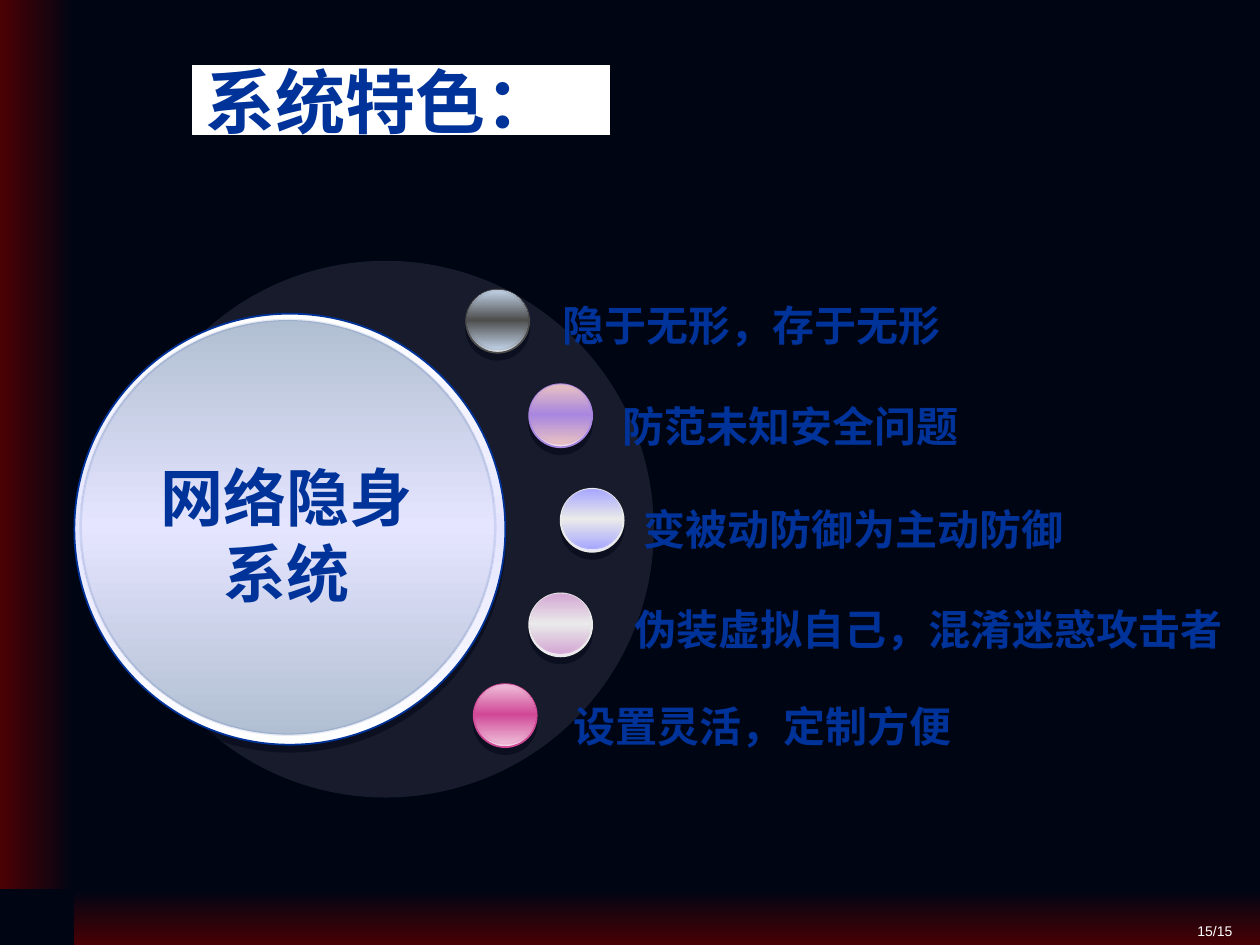
from lxml import etree
from pptx import Presentation
from pptx.dml.color import RGBColor
from pptx.enum.shapes import MSO_SHAPE
from pptx.enum.text import MSO_ANCHOR, PP_ALIGN
from pptx.oxml.ns import qn
from pptx.util import Inches, Pt

OVAL, RECTANGLE = MSO_SHAPE.OVAL, MSO_SHAPE.RECTANGLE
LEFT, CENTER, RIGHT = PP_ALIGN.LEFT, PP_ALIGN.CENTER, PP_ALIGN.RIGHT
MIDDLE, TOP = MSO_ANCHOR.MIDDLE, MSO_ANCHOR.TOP
CJK_FONT = "Noto Sans CJK SC"
NIGHT, RED, BLUE, WHITE, LAVENDER = "000514", "5A0000", "003399", "FFFFFF", "E5E5FF"

# Content
TITLE = "系统特色："
CENTER_TEXT = "网络隐身系统"
PAGE = "15/15"
# Feature text, text box (left, top, width), ball (left, top), rim, edge and middle colours
FEATURES = [
    ("隐于无形，存于无形", (4.37, 2.33, 3.53), (3.7, 2.3), "EDF2F8", "C2D3E8", "4D4D4D"),
    ("防范未知安全问题", (4.84, 3.13, 3.53), (4.2, 3.05), "F9EDED", "E9C2C1", "A886E0"),
    ("变被动防御为主动防御", (5.01, 3.95, 4.19), (4.45, 3.88), LAVENDER, "A6A6FF", "EAEAEA"),
    ("伪装虚拟自己，混淆迷惑攻击者", (4.94, 4.74, 5.26), (4.2, 4.71), "F2E5F2", "D3A6D3", "EAEAEA"),
    ("设置灵活，定制方便", (4.45, 5.51, 3.53), (3.76, 5.43), "FAECF4", "EFBFDA", "D04896"),
]
# Red edge bars: box and gradient direction
BARS = [((0.59, 7.06, 9.47, 0.55), 90), ((-0.11, 0, 0.7, 7.06), 180)]


def color(value):
    return RGBColor.from_string(value)


def set_alpha(color_parent, percent):
    rgb = color_parent.find(".//" + qn("a:srgbClr"))
    etree.SubElement(rgb, qn("a:alpha")).set("val", str(percent * 1000))


def add_shadow(parent, value, percent, distance, angle):
    effects = parent.find(qn("a:effectLst"))
    if effects is None:
        effects = etree.SubElement(parent, qn("a:effectLst"))
    shadow = etree.SubElement(effects, qn("a:outerShdw"), dist=str(Pt(distance)),
                              dir=str(angle * 60000), algn="ctr", rotWithShape="0")
    etree.SubElement(shadow, qn("a:srgbClr")).set("val", value)
    set_alpha(shadow, percent)


def add_shape(slide, kind, box):
    shape = slide.shapes.add_shape(kind, *map(Inches, box))
    shape.shadow.inherit = False
    shape.line.fill.background()
    return shape


def fill_gradient(shape, colors, angle):
    shape.fill.gradient()
    shape.fill.gradient_angle = (360 - angle) % 360
    stops = shape.element.spPr.find(qn("a:gradFill")).find(qn("a:gsLst"))
    for stop in list(stops):
        stops.remove(stop)
    for index, value in enumerate(colors):
        position = 100000 * index // (len(colors) - 1)
        stop = etree.SubElement(stops, qn("a:gs"), pos=str(position))
        etree.SubElement(stop, qn("a:srgbClr")).set("val", value)


def add_disc(slide, left, top, size, edge, middle, line, width):
    disc = add_shape(slide, OVAL, (left, top, size, size))
    fill_gradient(disc, (edge, middle, edge), 90)
    disc.line.color.rgb = color(line)
    disc.line.width = Pt(width)
    return disc


def add_ball(slide, outer, inner, rim, edge, middle, line):
    """Rim disc with a shadow, and a face disc with a faint outline."""
    base = add_disc(slide, *outer, rim, middle, line, 1)
    add_shadow(base.element.spPr, NIGHT, 50, 4, 90)
    face = add_disc(slide, *inner, edge, middle, line, 1.5)
    set_alpha(face.element.spPr.find(qn("a:ln")), 9)


def write(shape, text, size, value, font=CJK_FONT, bold=True, align=LEFT, anchor=TOP):
    frame = shape.text_frame
    frame.word_wrap = True
    frame.vertical_anchor = anchor
    paragraph = frame.paragraphs[0]
    paragraph.alignment = align
    run = paragraph.add_run()
    run.text = text
    run.font.size, run.font.bold, run.font.name = Pt(size), bold, font
    run.font.color.rgb = color(value)
    properties = run.font._element
    etree.SubElement(properties, qn("a:ea")).set("typeface", CJK_FONT)
    return properties


def add_text(slide, box, *args, **options):
    return write(slide.shapes.add_textbox(*map(Inches, box)), *args, **options)


def main():
    presentation = Presentation()
    presentation.slide_width, presentation.slide_height = Inches(10), Inches(7.5)
    slide = presentation.slides.add_slide(presentation.slide_layouts[5])
    slide.background.fill.solid()
    slide.background.fill.fore_color.rgb = color(NIGHT)

    # Edge bars and page number
    for box, angle in BARS:
        fill_gradient(add_shape(slide, RECTANGLE, box), (NIGHT, RED), angle)
    add_text(slide, (5.47, 7.27, 4.41, 0.24), PAGE, 8, WHITE, "Arial", False, RIGHT)

    # Title on a rounded white plate
    title = slide.shapes.title
    title.left, title.top, title.width, title.height = map(Inches, (1.53, 0.52, 3.31, 0.55))
    geometry = etree.SubElement(title.element.spPr, qn("a:prstGeom"), prst="flowChartAlternateProcess")
    etree.SubElement(geometry, qn("a:avLst"))
    title.fill.solid()
    title.fill.fore_color.rgb = color(WHITE)
    title.line.color.rgb = color(WHITE)
    title.line.width = Pt(0.75)
    write(title, TITLE, 40, BLUE, "Arial", anchor=MIDDLE)

    # Translucent backing circle
    backing = add_shape(slide, OVAL, (0.93, 2.07, 4.26, 4.26))
    backing.fill.solid()
    backing.fill.fore_color.rgb = color(LAVENDER)
    set_alpha(backing.element.spPr.find(qn("a:solidFill")), 10)

    # Features
    for text, (left, top, width), (x, y), rim, edge, middle in FEATURES:
        add_text(slide, (left, top, width, 0.5), text, 24, BLUE)
        add_ball(slide, (x, y, 0.5), (x + 0.01, y, 0.48), rim, edge, middle, middle)

    # Main disc
    add_ball(slide, (0.59, 2.49, 3.42), (0.64, 2.54, 3.29), WHITE, "B1BFD2", LAVENDER, BLUE)
    properties = add_text(slide, (0.98, 3.59, 2.58, 1.3), CENTER_TEXT, 36, BLUE, align=CENTER)
    add_shadow(properties, WHITE, 100, 2, 45)
    properties.find(qn("a:solidFill")).addnext(properties.find(qn("a:effectLst")))

    presentation.save("out.pptx")


if __name__ == "__main__":
    main()
